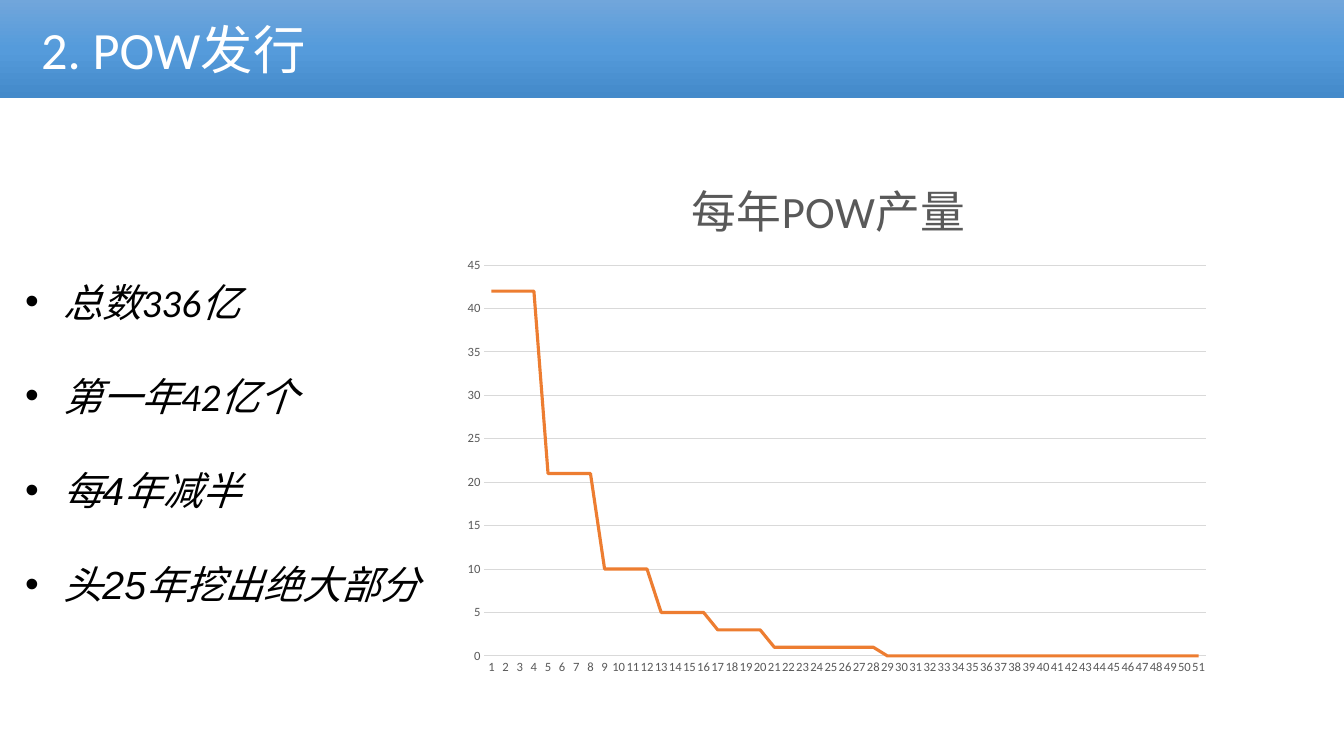
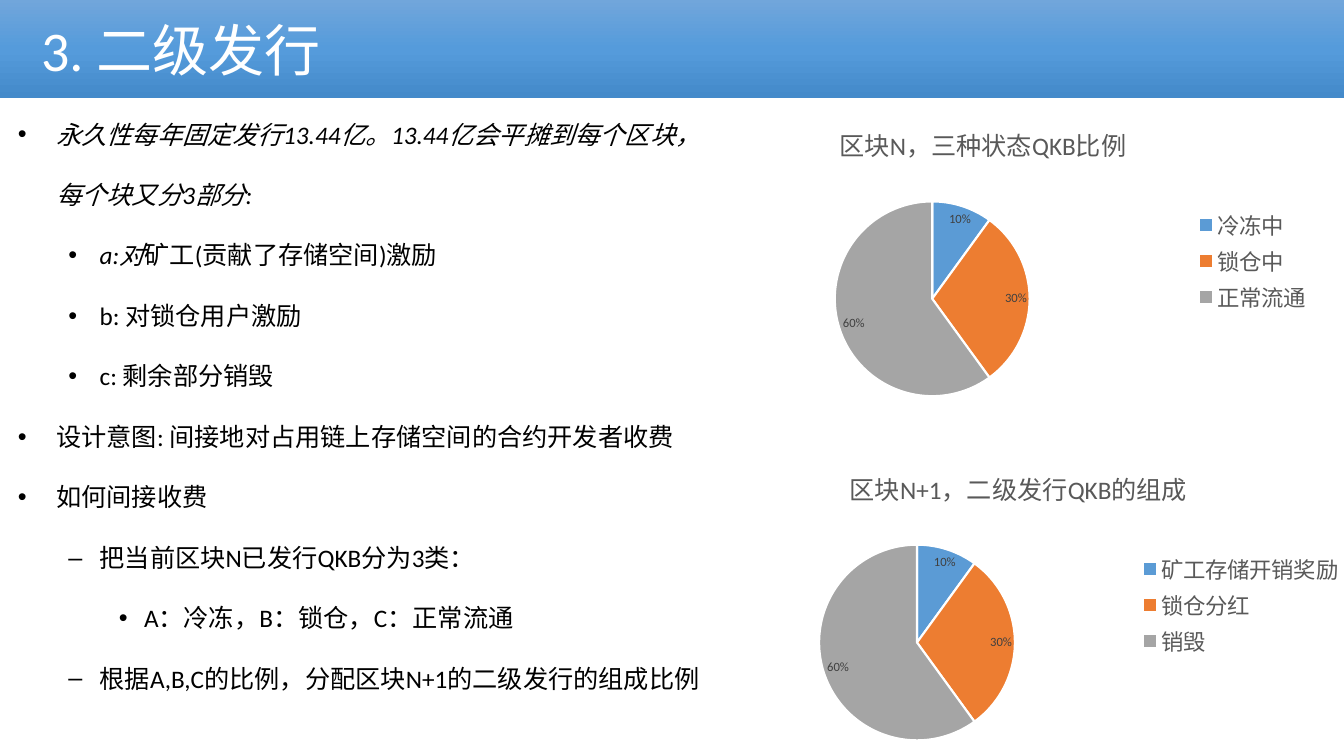
from pptx import Presentation
from pptx.chart.data import CategoryChartData
from pptx.dml.color import RGBColor
from pptx.enum.chart import XL_CHART_TYPE, XL_LABEL_POSITION, XL_LEGEND_POSITION, XL_TICK_MARK
from pptx.enum.shapes import MSO_SHAPE
from pptx.enum.text import MSO_ANCHOR, PP_ALIGN
from pptx.oxml import parse_xml
from pptx.oxml.ns import nsdecls, qn
from pptx.oxml.xmlchemy import OxmlElement
from pptx.util import Inches, Pt

LINE, PIE = XL_CHART_TYPE.LINE, XL_CHART_TYPE.PIE
RECT = MSO_SHAPE.RECTANGLE
MIDDLE, TOP, LEFT = MSO_ANCHOR.MIDDLE, MSO_ANCHOR.TOP, PP_ALIGN.LEFT
NO_TICK = XL_TICK_MARK.NONE
LEGEND_RIGHT = XL_LEGEND_POSITION.RIGHT
BEST_FIT = XL_LABEL_POSITION.BEST_FIT

FONT, BULLET_FONT = "Calibri", "Arial"
WHITE, BLACK, GRAY, DARK, GRID = "FFFFFF", "000000", "595959", "404040", "D9D9D9"
BLUE, ORANGE, SILVER = "5B9BD5", "ED7D31", "A5A5A5"
BAND_STOPS = [(0, "71A6DB"), (50, "559BDB"), (100, "448ACA")]
INDENTS = [(0.38, -0.38), (0.81, -0.31), (1.25, -0.25)]
SLIDE_W, SLIDE_H, BAND_H = 13.33, 7.5, 0.97


def rgb(value):
    return RGBColor.from_string(value)


def style(font, size, color, name=FONT, italic=None):
    font.size, font.name, font.italic = Pt(size), name, italic
    font.color.rgb = rgb(color)


def indent(p, left, first=0):
    pPr = p._p.get_or_add_pPr()
    pPr.set("marL", str(Inches(left)))
    pPr.set("indent", str(Inches(first)))
    return pPr


def add_band(s, title, size):
    sp = s.shapes.add_shape(RECT, 0, 0, Inches(SLIDE_W), Inches(BAND_H))
    sp.shadow.inherit = False
    sp.line.fill.background()
    stops = "".join(
        f'<a:gs pos="{pos * 1000}"><a:srgbClr val="{color}"/></a:gs>'
        for pos, color in BAND_STOPS)
    sp._element.spPr.insert(2, parse_xml(
        f'<a:gradFill {nsdecls("a")} rotWithShape="1"><a:gsLst>{stops}</a:gsLst>'
        '<a:lin ang="5400000" scaled="0"/></a:gradFill>'))
    tf = sp.text_frame
    tf.vertical_anchor = MIDDLE
    p = tf.paragraphs[0]
    p.alignment = LEFT
    indent(p, 0.31)
    r = p.add_run()
    r.text = title
    style(r.font, size, WHITE)


def add_bullets(s, box, size, items):
    tf = s.shapes.add_textbox(*map(Inches, box)).text_frame
    tf.word_wrap = True
    tf.vertical_anchor = TOP
    for i, (level, bullet, runs) in enumerate(items):
        p = tf.paragraphs[0] if i == 0 else tf.add_paragraph()
        p.level = level
        p.line_spacing = 2.0
        pPr = indent(p, *INDENTS[level])
        for tag, key, value in (("a:buFont", "typeface", BULLET_FONT),
                                ("a:buChar", "char", bullet)):
            bu = OxmlElement(tag)
            bu.set(key, value)
            pPr.append(bu)
        for text, italic, name in runs:
            r = p.add_run()
            r.text = text
            style(r.font, size, BLACK, name, italic)


def set_layout(parent, index, **sizes):
    for old in parent.findall(qn("c:layout")):
        parent.remove(old)
    target = '<c:layoutTarget val="inner"/>' if "w" in sizes else ""
    values = "".join(f'<c:{key} val="{value}"/>' for key, value in sizes.items())
    parent.insert(index, parse_xml(
        f'<c:layout {nsdecls("c")}><c:manualLayout>{target}<c:xMode val="edge"/>'
        f'<c:yMode val="edge"/>{values}</c:manualLayout></c:layout>'))


def add_chart(s, kind, box, cats, name, values, title, size, title_x, plot):
    data = CategoryChartData()
    data.categories = cats
    data.add_series(name, values)
    chart = s.shapes.add_chart(kind, *map(Inches, box), data).chart
    style(chart.font, 10, BLACK)
    chart.has_title = True
    r = chart.chart_title.text_frame.paragraphs[0].add_run()
    r.text = title
    style(r.font, size, GRAY)
    r.font.bold = False
    c = chart._chartSpace.chart
    set_layout(c.find(qn("c:title")), 1, x=title_x, y=0.03)
    set_layout(c.plotArea, 0, **dict(zip("xywh", plot)))
    return chart


def add_output_chart(s, box):
    years = range(51)
    title = "每年POW产量"
    output = [round(42 / 2 ** (year // 4)) for year in years]
    chart = add_chart(s, LINE, box, [str(year + 1) for year in years], title,
                      output, title, 32, 0.31, (0.067, 0.213, 0.88, 0.7))
    chart.has_legend = False
    for axis in (chart.category_axis, chart.value_axis):
        axis.major_tick_mark = axis.minor_tick_mark = NO_TICK
        style(axis.tick_labels.font, 9, GRAY)
    line = chart.category_axis.format.line
    line.color.rgb, line.width = rgb(GRID), Pt(0.75)
    axis = chart.value_axis
    axis.minimum_scale, axis.maximum_scale, axis.major_unit = 0, 45, 5
    axis.tick_labels.number_format = "0"
    axis.tick_labels.number_format_is_linked = False
    axis.format.line.fill.background()
    grid = axis.major_gridlines.format.line
    grid.color.rgb, grid.width = rgb(GRID), Pt(0.75)
    chart.plots[0].vary_by_categories = False
    series = chart.plots[0].series[0]
    series.smooth = False
    series.format.line.color.rgb = rgb(ORANGE)
    series.format.line.width = Pt(2.25)


def add_share_pie(s, box, title, title_x, pie_x, cats):
    chart = add_chart(s, PIE, box, cats, "Series 1", [10, 30, 60], title, 18,
                      title_x, (pie_x, 0.3, 0.3, 0.65))
    chart.has_legend = True
    chart.legend.position = LEGEND_RIGHT
    chart.legend.include_in_layout = False
    style(chart.legend.font, 16, GRAY)
    plot = chart.plots[0]
    plot.vary_by_categories = True
    for i, color in enumerate((BLUE, ORANGE, SILVER)):
        fmt = plot.series[0].points[i].format
        fmt.fill.solid()
        fmt.fill.fore_color.rgb = rgb(color)
        fmt.line.color.rgb, fmt.line.width = rgb(WHITE), Pt(1.5)
    plot.has_data_labels = True
    labels = plot.data_labels
    labels.show_percentage, labels.show_value = True, False
    labels.number_format, labels.number_format_is_linked = "0%", False
    labels.position = BEST_FIT
    style(labels.font, 9, DARK)


def build_pow(s):
    add_band(s, "2. POW发行", 37.4)
    facts = [("总数336亿", FONT), ("第一年42亿个", FONT),
             ("每4年减半", "Arial"), ("头25年挖出绝大部分", "Arial")]
    add_bullets(s, (0.15, 2.24, 4.28, 3.87), 28,
                [(0, "•", [(text, True, name)]) for text, name in facts])
    add_output_chart(s, (4.26, 1.45, 8.13, 5.54))


def build_secondary(s):
    add_band(s, "3. 二级发行", 40)
    first = "永久性每年固定发行13.44亿。13.44亿会平摊到每个区块，每个块又分3部分:"
    plain = [
        (1, "•", "b: 对锁仓用户激励"),
        (1, "•", "c: 剩余部分销毁"),
        (0, "•", "设计意图: 间接地对占用链上存储空间的合约开发者收费"),
        (0, "•", "如何间接收费"),
        (1, "–", "把当前区块N已发行QKB分为3类："),
        (2, "•", "A：冷冻，B：锁仓，C：正常流通"),
        (1, "–", "根据A,B,C的比例，分配区块N+1的二级发行的组成比例"),
    ]
    items = [(0, "•", [(first, True, FONT)]),
             (1, "•", [("a:对", True, FONT), ("矿工(贡献了存储空间)激励", False, FONT)])]
    items += [(level, bu, [(text, False, FONT)]) for level, bu, text in plain]
    add_bullets(s, (0.08, 0.83, 7.18, 6.67), 18, items)
    add_share_pie(s, (6.67, 1.09, 6.44, 3), "区块N，三种状态QKB比例", 0.25, 0.25,
                  ["冷冻中", "锁仓中", "正常流通"])
    add_share_pie(s, (6.96, 4.5, 6.47, 3), "区块N+1，二级发行QKB的组成", 0.22, 0.18,
                  ["矿工存储开销奖励", "锁仓分红", "销毁"])


def main():
    prs = Presentation()
    prs.slide_width, prs.slide_height = Inches(SLIDE_W), Inches(SLIDE_H)
    for build in (build_pow, build_secondary):
        build(prs.slides.add_slide(prs.slide_layouts[6]))
    prs.save("out.pptx")


if __name__ == "__main__":
    main()
